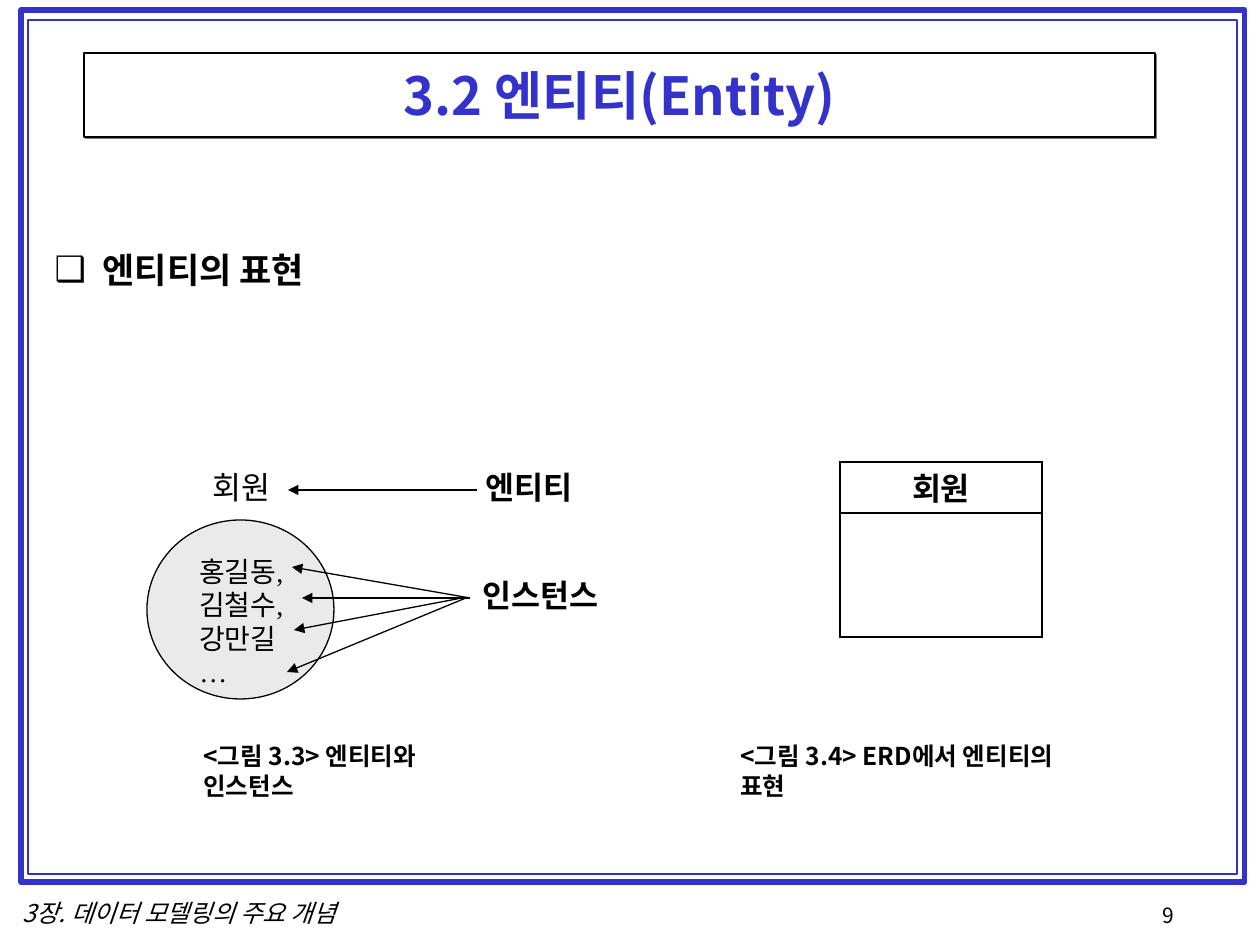
from lxml.etree import SubElement
from pptx import Presentation
from pptx.dml.color import RGBColor
from pptx.enum.shapes import MSO_CONNECTOR as Connector, MSO_SHAPE as Shape
from pptx.enum.text import MSO_ANCHOR as Anchor, MSO_AUTO_SIZE as AutoSize, PP_ALIGN as Align
from pptx.oxml.ns import qn
from pptx.util import Pt

PX = 914400 / 126
SANS, SERIF, ARIAL = "Noto Sans CJK KR", "Times New Roman", "Arial"
BLACK, BLUE, WHITE, GRAY, SHADOW = "000000", "3333CC", "FFFFFF", "EAEAEA", "808080"


def px(value):
    return round(value * PX)


def color(code):
    return RGBColor.from_string(code)


def add_node(parent, tag, **values):
    return SubElement(parent, qn(tag), **values)


def apply(target, values):
    for name, value in values.items():
        setattr(target, name, value)


def place(shape, left, top, width, height):
    apply(shape, {"left": px(left), "top": px(top),
                  "width": px(width), "height": px(height)})


def outline(shape, code, width):
    shape.line.color.rgb = color(code)
    shape.line.width = Pt(width)


def write(frame, lines, font, size, code=BLACK, align=Align.LEFT, spacing=1.2, **style):
    for number, line in enumerate(lines):
        para = frame.paragraphs[0] if number == 0 else frame.add_paragraph()
        apply(para, {"alignment": align, "space_before": Pt(0)})
        if spacing:
            para.line_spacing = Pt(size * spacing)
        span = para.add_run()
        span.text = line
        apply(span.font, {"name": font, "size": Pt(size), **style})
        span.font.color.rgb = color(code)
        add_node(span._r.get_or_add_rPr(), "a:ea", typeface=SANS)


def add_label(page, left, top, width, height, lines, font, size, **style):
    box = page.shapes.add_textbox(px(left), px(top), px(width), px(height))
    box.text_frame.word_wrap = True
    write(box.text_frame, lines, font, size, **style)


def add_outline_shape(page, kind, area, code, width, fill=None):
    shape = page.shapes.add_shape(kind, *map(px, area))
    shape.shadow.inherit = False
    outline(shape, code, width)
    if fill:
        shape.fill.solid()
        shape.fill.fore_color.rgb = color(fill)
    else:
        shape.fill.background()


def add_arrow(page, start, end):
    arrow = page.shapes.add_connector(Connector.STRAIGHT, *map(px, start + end))
    outline(arrow, BLACK, 0.75)
    add_node(arrow.line._get_or_add_ln(), "a:tailEnd", type="triangle")
    add_node(arrow._element.spPr, "a:effectLst")


def fill_title(page, text):
    title = page.shapes.title
    place(title, 84, 53, 1071, 84)
    title.fill.solid()
    title.fill.fore_color.rgb = color(WHITE)
    outline(title, BLACK, 0.75)
    effects = add_node(title._element.spPr, "a:effectLst")
    shadow = add_node(effects, "a:outerShdw", dist=str(Pt(1.4)), dir="2700000", algn="ctr")
    add_node(shadow, "a:srgbClr", val=SHADOW)
    apply(title.text_frame, {"vertical_anchor": Anchor.MIDDLE, "auto_size": AutoSize.NONE})
    write(title.text_frame, [text], SANS, 30, BLUE, Align.CENTER, spacing=None, bold=True)


def fill_body(page, text):
    body = page.placeholders[1]
    place(body, 42, 242, 1176, 609)
    body.text_frame.auto_size = AutoSize.NONE
    write(body.text_frame, [text], SANS, 20, bold=True)
    settings = body.text_frame.paragraphs[0]._p.get_or_add_pPr()
    settings.set("marL", str(px(48)))
    settings.set("indent", str(px(-48)))
    bullet_color = add_node(settings, "a:buClr")
    add_node(bullet_color, "a:srgbClr", val=BLACK)
    add_node(settings, "a:buChar", char="❑")


def add_borders(cell):
    settings = cell._tc.get_or_add_tcPr()
    for number, side in enumerate(("a:lnL", "a:lnR", "a:lnT", "a:lnB")):
        border = settings.makeelement(qn(side), {"w": str(Pt(1.08))})
        settings.insert(number, border)
        add_node(add_node(border, "a:solidFill"), "a:srgbClr", val=BLACK)


def add_entity_table(page, name):
    heights = (51, 124)
    frame = page.shapes.add_table(2, 1, px(840), px(462), px(202), px(sum(heights)))
    table = frame.table
    apply(table, {"first_row": False, "horz_banding": False})
    for row, height in zip(table.rows, heights):
        row.height = px(height)
        cell = row.cells[0]
        cell.fill.background()
        add_borders(cell)
    head = table.cell(0, 0)
    apply(head, {"margin_top": px(10), "margin_bottom": 0})
    write(head.text_frame, [name], ARIAL, 18, align=Align.CENTER, bold=True)


def main():
    deck = Presentation()
    apply(deck, {"slide_width": px(1260), "slide_height": px(945)})
    page = deck.slides.add_slide(deck.slide_layouts[1])

    add_outline_shape(page, Shape.RECTANGLE, (21, 10, 1224, 872), BLUE, 3)
    add_outline_shape(page, Shape.RECTANGLE, (28, 20, 1209, 854), BLUE, 1)
    fill_title(page, "3.2 엔티티(Entity)")
    fill_body(page, "엔티티의 표현")

    add_outline_shape(page, Shape.OVAL, (147, 520, 187, 179), BLACK, 0.75, GRAY)
    add_label(page, 200, 462, 110, 50, ["회원"], SERIF, 18)
    add_label(page, 187, 548, 140, 147, ["홍길동,", "김철수,", "강만길", "…"], SERIF, 16)
    add_label(page, 473, 462, 140, 50, ["엔티티"], SERIF, 18, bold=True)
    add_label(page, 470, 570, 170, 50, ["인스턴스"], SERIF, 18, bold=True)

    arrows = (((477, 490), (288, 490)), ((470, 598), (292, 567)),
              ((470, 598), (302, 598)), ((462, 598), (294, 630)),
              ((466, 598), (287, 672)))
    for start, end in arrows:
        add_arrow(page, start, end)

    add_entity_table(page, "회원")
    add_label(page, 191, 735, 330, 70, ["<그림 3.3> 엔티티와 인스턴스"], SANS, 14, bold=True)
    add_label(page, 728, 735, 385, 70, ["<그림 3.4> ERD에서 엔티티의 표현"], SANS, 14, bold=True)
    add_label(page, 10, 892, 420, 43, ["3장. 데이터 모델링의 주요 개념"], SANS, 14, italic=True)
    add_label(page, 1150, 896, 90, 41, ["9"], SANS, 12)
    deck.save("out.pptx")


if __name__ == "__main__":
    main()
